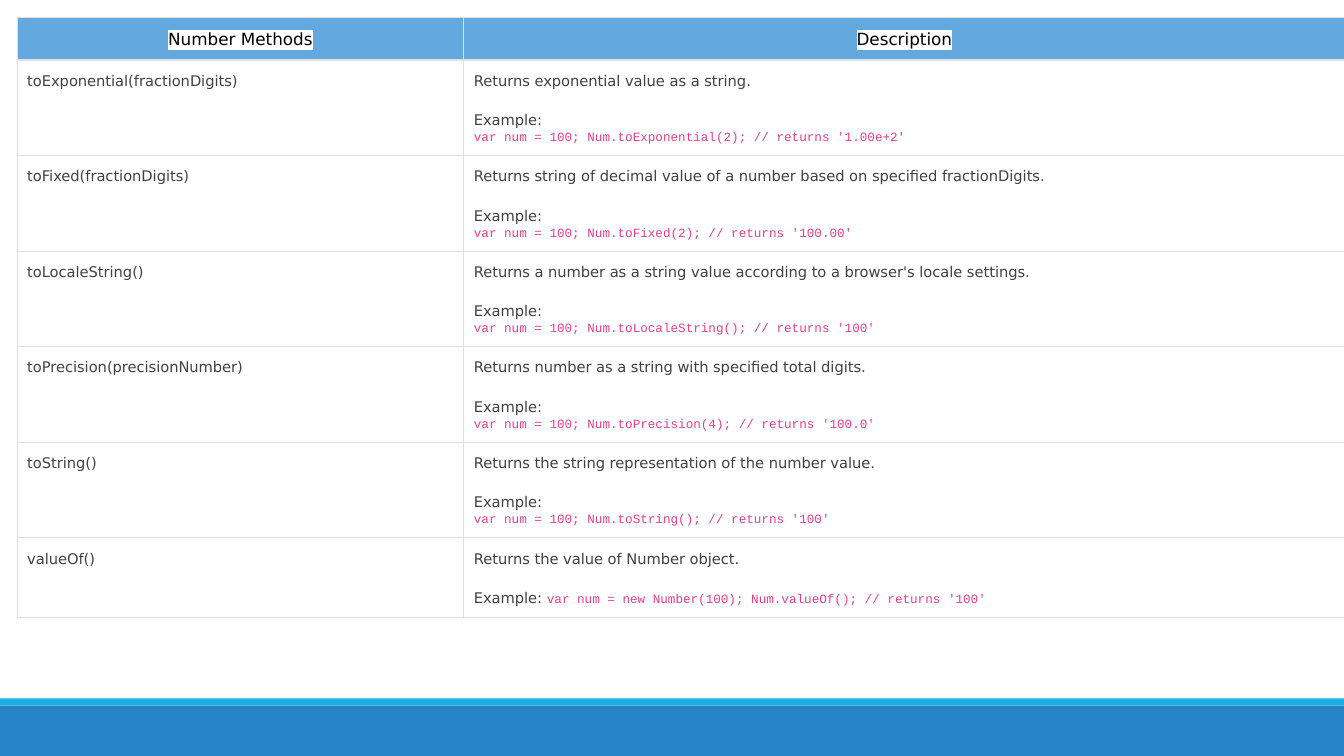
from dataclasses import dataclass

from lxml.etree import SubElement
from pptx import Presentation
from pptx.dml.color import RGBColor
from pptx.enum.shapes import MSO_SHAPE
from pptx.enum.text import MSO_ANCHOR, PP_ALIGN
from pptx.oxml.ns import qn
from pptx.util import Inches, Pt


@dataclass(frozen=True)
class Theme:
    """Colours, fonts and type sizes of the slide."""
    white: str = "FFFFFF"
    black: str = "000000"
    body: str = "414141"
    code: str = "E83E8C"
    header: str = "63A9E0"
    grid: str = "DFDFDF"
    header_rule: str = "DEE2E6"
    band: str = "2683C6"
    stripe: str = "1CADE4"
    sans: str = "DejaVu Sans"
    mono: str = "Courier New"
    header_size: float = 12
    body_size: float = 10.5
    code_size: float = 9
    line_spacing: float = 1.15
    example_gap: float = 14


T = Theme()
HEADERS = ["Number Methods", "Description"]
METHODS = [
    ("toExponential(fractionDigits)", "Returns exponential value as a string.",
     "var num = 100; Num.toExponential(2); // returns '1.00e+2'"),
    ("toFixed(fractionDigits)",
     "Returns string of decimal value of a number based on specified fractionDigits.",
     "var num = 100; Num.toFixed(2); // returns '100.00'"),
    ("toLocaleString()",
     "Returns a number as a string value according to a browser's locale settings.",
     "var num = 100; Num.toLocaleString(); // returns '100'"),
    ("toPrecision(precisionNumber)",
     "Returns number as a string with specified total digits.",
     "var num = 100; Num.toPrecision(4); // returns '100.0'"),
    ("toString()", "Returns the string representation of the number value.",
     "var num = 100; Num.toString(); // returns '100'"),
    ("valueOf()", "Returns the value of Number object.",
     "var num = new Number(100); Num.valueOf(); // returns '100'"),
]
COLUMN_WIDTHS = [4.43, 8.74]
ROW_HEIGHTS = [0.35] + [0.8] * 5 + [0.65]


def style_font(font, size, color, name=T.sans):
    """Set size, colour and typeface of a font."""
    font.size = Pt(size)
    font.bold = False
    font.color.rgb = RGBColor.from_string(color)
    font.name = name


def add_band(s, top, height, color):
    """Add a full-width coloured band."""
    sp = s.shapes.add_shape(MSO_SHAPE.RECTANGLE, 0, Inches(top),
                            Inches(13.33), Inches(height))
    sp.shadow.inherit = False
    sp.fill.solid()
    sp.fill.fore_color.rgb = RGBColor.from_string(color)
    sp.line.fill.background()


def set_border(tcPr, side, color, width):
    """Draw one side of a cell border."""
    ln = SubElement(tcPr, qn(f"a:{side}"), w=str(Pt(width)))
    fill = SubElement(ln, qn("a:solidFill"))
    SubElement(fill, qn("a:srgbClr"), val=color)


def style_cell(cell, row):
    """Set the insets, borders and fill of a cell."""
    cell.margin_left = cell.margin_right = Inches(0.1)
    cell.margin_top = cell.margin_bottom = Inches(0.1)
    cell.vertical_anchor = MSO_ANCHOR.TOP if row else MSO_ANCHOR.BOTTOM
    heavy_side = {0: "lnB", 1: "lnT"}.get(row)
    tcPr = cell._tc.get_or_add_tcPr()
    for side in ("lnL", "lnR", "lnT", "lnB"):
        color, width = (T.header_rule, 1.5) if side == heavy_side else (T.grid, 0.75)
        set_border(tcPr, side, color, width)
    cell.fill.solid()
    cell.fill.fore_color.rgb = RGBColor.from_string(T.white if row else T.header)


def add_line(tf, text, size=T.body_size, color=T.body, name=T.sans,
             align=PP_ALIGN.JUSTIFY):
    """Write a paragraph into a text frame and return it."""
    p = tf.paragraphs[0] if not tf.text else tf.add_paragraph()
    p.alignment = align
    p.line_spacing = T.line_spacing
    style_font(p.font, size, color, name)
    p.add_run().text = text
    return p


def fill_header(cell, text):
    """Write a highlighted column heading."""
    p = add_line(cell.text_frame, text, T.header_size, T.black, align=PP_ALIGN.CENTER)
    highlight = SubElement(p.runs[0]._r.get_or_add_rPr(), qn("a:highlight"))
    SubElement(highlight, qn("a:srgbClr"), val=T.white)


def fill_description(cell, summary, code, inline):
    """Write a summary with its code example, inline or on its own line."""
    tf = cell.text_frame
    add_line(tf, summary)
    p = add_line(tf, "Example: " if inline else "Example:")
    p.space_before = Pt(T.example_gap)
    if inline:
        r = p.add_run()
        r.text = code
        style_font(r.font, T.code_size, T.code, T.mono)
    else:
        add_line(tf, code, T.code_size, T.code, T.mono)


def add_methods_table(s):
    """Add the table of number methods."""
    table = s.shapes.add_table(
        len(ROW_HEIGHTS), len(COLUMN_WIDTHS), Inches(0.17), Inches(0.17),
        Inches(sum(COLUMN_WIDTHS)), Inches(sum(ROW_HEIGHTS))).table
    table.first_row = table.horz_banding = False
    for column, width in zip(table.columns, COLUMN_WIDTHS):
        column.width = Inches(width)
    for i, (row, height) in enumerate(zip(table.rows, ROW_HEIGHTS)):
        row.height = Inches(height)
        for cell in row.cells:
            style_cell(cell, i)
    for j, text in enumerate(HEADERS):
        fill_header(table.cell(0, j), text)
    for i, (method, summary, code) in enumerate(METHODS, 1):
        add_line(table.cell(i, 0).text_frame, method)
        fill_description(table.cell(i, 1), summary, code, inline=i == len(METHODS))


def main():
    """Build the slide and save it."""
    prs = Presentation()
    prs.slide_width, prs.slide_height = Inches(13.33), Inches(7.5)
    s = prs.slides.add_slide(prs.slide_layouts[6])
    add_band(s, 7, 0.5, T.band)
    add_band(s, 6.93, 0.07, T.stripe)
    add_methods_table(s)
    prs.save("out.pptx")


if __name__ == "__main__":
    main()
